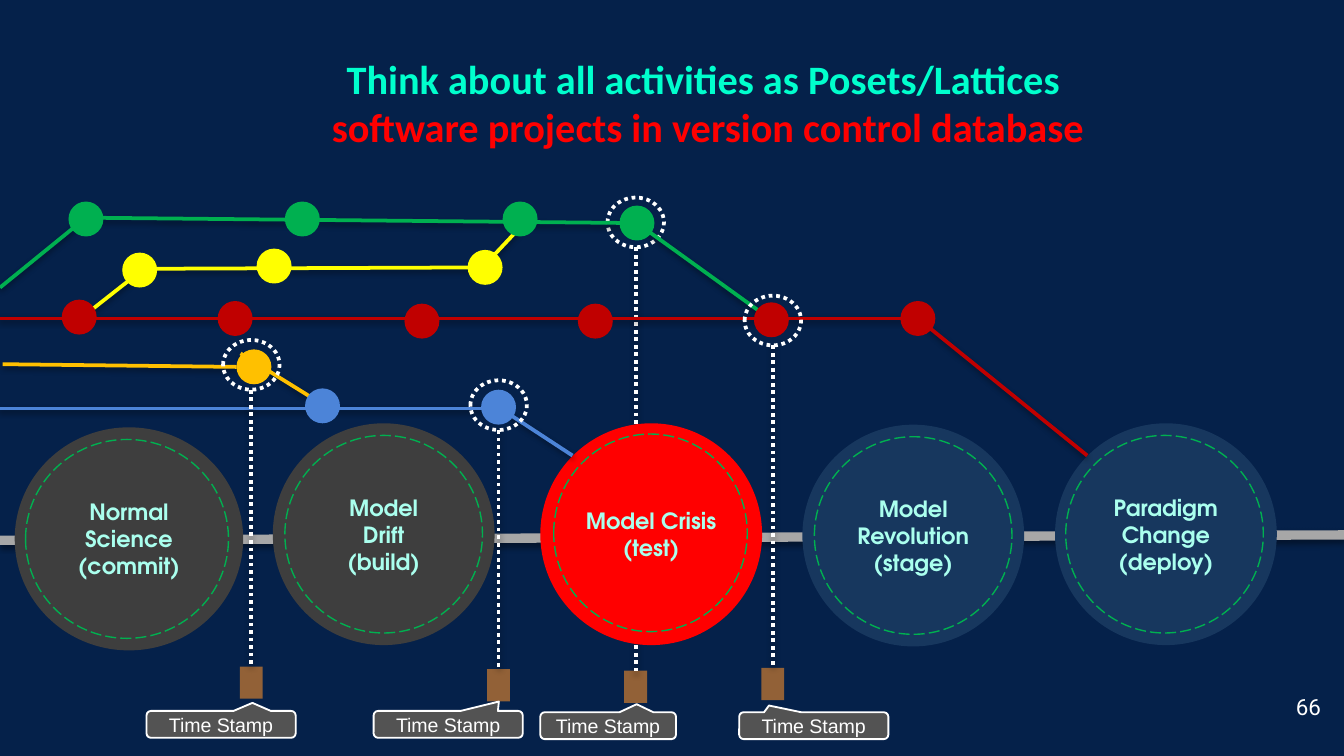
from lxml import etree
from pptx import Presentation
from pptx.dml.color import RGBColor
from pptx.enum.dml import MSO_LINE
from pptx.enum.shapes import MSO_CONNECTOR, MSO_SHAPE
from pptx.enum.text import MSO_ANCHOR, PP_ALIGN
from pptx.oxml import parse_xml
from pptx.oxml.ns import nsdecls
from pptx.util import Inches, Pt

OVAL, RECT = MSO_SHAPE.OVAL, MSO_SHAPE.RECTANGLE
CALLOUT = MSO_SHAPE.ROUNDED_RECTANGULAR_CALLOUT
DOTTED, DASHED = MSO_LINE.ROUND_DOT, MSO_LINE.LONG_DASH
CENTER, RIGHT = PP_ALIGN.CENTER, PP_ALIGN.RIGHT
TOP, MIDDLE = MSO_ANCHOR.TOP, MSO_ANCHOR.MIDDLE

THEME = {
    "bg": "05214A", "white": "FFFFFF", "axis": "A7A7A7", "tag": "926137",
    "callout": "535353", "title": "00FFCD", "stage_text": "AAFFEE",
    "past": "3E3E3E", "future": "17375E", "red": "FF0000",
    "yellow": "FFFF00", "green": "00B050", "crimson": "C00000",
    "orange": "FFC000", "blue": "4C84D8",
    "title_size": 21.6, "body_size": 12, "label_size": 10.5,
    "title_font": "Calibri", "stage_font": "TeX Gyre Adventor",
    "label_font": "Arial", "number_font": "Roboto",
}

TITLE = [("Think about all activities as Posets/Lattices", "title"),
         (" software projects in version control database", "red")]

# lines of text, colour, disc box, dashed ring box
STAGES = [
    (["Normal Science", "(commit)"], "past",
     (0.11, 3.18, 1.7, 1.66), (0.19, 3.27, 1.51, 1.48)),
    (["Model", "Drift", "(build)"], "past",
     (2.03, 3.15, 1.65, 1.65), (2.12, 3.24, 1.47, 1.47)),
    (["Model Crisis", "(test)"], "red",
     (4.02, 3.15, 1.65, 1.65), (4.12, 3.23, 1.44, 1.47)),
    (["Model Revolution", "(stage)"], "future",
     (5.97, 3.16, 1.65, 1.65), (6.06, 3.25, 1.47, 1.47)),
    (["Paradigm Change", "(deploy)"], "future",
     (7.85, 3.15, 1.65, 1.65), (7.93, 3.24, 1.47, 1.47)),
]

# colour, strokes of the branch, centres of its commits
BRANCHES = [
    ("yellow", [[(0.6, 2.37), (1.07, 2), (3.59, 1.99), (3.9, 1.66)]],
     [(1.04, 2.01), (2.04, 1.98), (3.61, 1.99)]),
    ("green", [[(0, 2.14), (0.64, 1.62), (4.74, 1.66), (5.74, 2.38)]],
     [(0.64, 1.63), (2.25, 1.63), (3.87, 1.63), (4.74, 1.66)]),
    ("crimson", [[(-0.01, 2.37), (6.8, 2.37)], [(6.83, 2.37), (8.09, 3.39)]],
     [(5.74, 2.38), (0.59, 2.36), (1.75, 2.37), (3.14, 2.39),
      (4.43, 2.39), (6.83, 2.37)]),
    ("orange", [[(0.02, 2.71), (1.76, 2.73)], [(1.79, 2.63), (2.45, 3.04)]],
     [(1.89, 2.73)]),
    ("blue", [[(-0.01, 3.04), (3.69, 3.04)], [(3.71, 3.03), (4.26, 3.39)]],
     [(3.71, 3.03), (2.4, 3.02)]),
]

# centre x, ring top, tag top
BACK_MARKER = (4.73, 1.47, 4.99)
FRONT_MARKERS = [(3.71, 2.83, 4.98), (5.75, 2.2, 4.97), (1.87, 2.53, 4.96)]

# left, top, width, pointer offsets
TIME_STAMPS = [(2.78, 5.29, 1.11, 0.34, -0.85), (4.02, 5.3, 1.01, 0.21, -0.8),
               (1.09, 5.29, 1.11, 0.21, -0.8), (5.5, 5.3, 1.11, -0.3, -0.75)]

NODE, RING_W, RING_H = 0.26, 0.42, 0.37
TAG_W, TAG_H = 0.17, 0.24

SHADOW = (f'<a:effectLst {nsdecls("a")}><a:outerShdw blurRad="38100" dist="20320" '
          'dir="5400000" rotWithShape="0"><a:srgbClr val="000000">'
          '<a:alpha val="38000"/></a:srgbClr></a:outerShdw></a:effectLst>')


def color(name):
    return RGBColor.from_string(THEME[name])


def style_line(ln, name, width, dash=None):
    ln.color.rgb = color(name)
    ln.width = Pt(width)
    if dash:
        ln.dash_style = dash


def add_shape(kind, x, y, w, h, fill=None, line=None):
    """Add a flat preset shape; line is (colour, width[, dash])."""
    sp = s.shapes.add_shape(kind, *map(Inches, (x, y, w, h)))
    sp.shadow.inherit = False
    if fill:
        sp.fill.solid()
        sp.fill.fore_color.rgb = color(fill)
    else:
        sp.fill.background()
    if line:
        style_line(sp.line, *line)
    else:
        sp.line.fill.background()
    return sp


def add_line(start, end, name, width=2, dash=None):
    ends = map(Inches, (*start, *end))
    cn = s.shapes.add_connector(MSO_CONNECTOR.STRAIGHT, *ends)
    style_line(cn.line, name, width, dash)
    etree.strip_elements(cn.element.spPr, "{*}effectLst")
    cn.element.spPr.append(parse_xml(SHADOW))


def set_text(sp, lines, font, size, inset=0.05, align=CENTER, anchor=MIDDLE,
             wrap=True, one_paragraph=False):
    """Fill a shape with (text, colour) lines, as paragraphs or line breaks."""
    tf = sp.text_frame
    tf.word_wrap = wrap
    tf.vertical_anchor = anchor
    tf.margin_left = tf.margin_right = Inches(inset)
    tf.margin_top = tf.margin_bottom = Inches(inset)
    p = tf.paragraphs[0]
    for i, (text, name) in enumerate(lines):
        if i and one_paragraph:
            p.add_line_break()
        elif i:
            p = tf.add_paragraph()
        p.alignment = align
        r = p.add_run()
        r.text = text
        r.font.name = THEME[font]
        r.font.size = Pt(THEME[size])
        r.font.bold = font in ("title_font", "stage_font")
        r.font.color.rgb = color(name)


def add_marker(x, ring_top, tag_top):
    """Ring a commit and drop a dotted line from it to its time tag."""
    add_shape(RECT, x - TAG_W / 2, tag_top, TAG_W, TAG_H, "tag")
    add_line((x, ring_top + RING_H), (x, tag_top), "white", 2, DOTTED)
    add_shape(OVAL, x - RING_W / 2, ring_top, RING_W, RING_H, line=("white", 2, DOTTED))


def add_stage(lines, fill, disc, ring):
    sp = add_shape(OVAL, *disc, fill)
    set_text(sp, [(t, "stage_text") for t in lines], "stage_font", "body_size")
    add_shape(OVAL, *ring, line=("green", 0.75, DASHED))


def add_branch(name, strokes, commits):
    for points in strokes:
        for start, end in zip(points, points[1:]):
            add_line(start, end, name)
    for x, y in commits:
        add_shape(OVAL, x - NODE / 2, y - NODE / 2, NODE, NODE, name)


def add_text_box(x, y, w, h, lines, font, size, **fmt):
    box = s.shapes.add_textbox(*map(Inches, (x, y, w, h)))
    set_text(box, lines, font, size, **fmt)


prs = Presentation()
prs.slide_width = Inches(10)
prs.slide_height = prs.slide_width * 9 // 16
s = prs.slides.add_slide(prs.slide_layouts[6])
s.background.fill.solid()
s.background.fill.fore_color.rgb = color("bg")

add_marker(*BACK_MARKER)
add_line((0, 4.02), (10, 3.98), "axis", 5)
add_text_box(2.02, 0.3, 6.43, 1.03, TITLE, "title_font", "title_size",
             inset=0.1, anchor=TOP, one_paragraph=True)
for stage in STAGES:
    add_stage(*stage)
for branch in BRANCHES:
    add_branch(*branch)
for marker in FRONT_MARKERS:
    add_marker(*marker)
for x, y, w, dx, dy in TIME_STAMPS:
    sp = add_shape(CALLOUT, x, y, w, 0.2, "callout", ("white", 1))
    sp.adjustments[0], sp.adjustments[1] = dx, dy
    set_text(sp, [("Time Stamp", "white")], "label_font", "label_size", inset=0)
add_text_box(9.57, 5.11, 0.31, 0.3, [("66", "white")], "number_font", "body_size",
             align=RIGHT, wrap=False)

prs.save("out.pptx")
